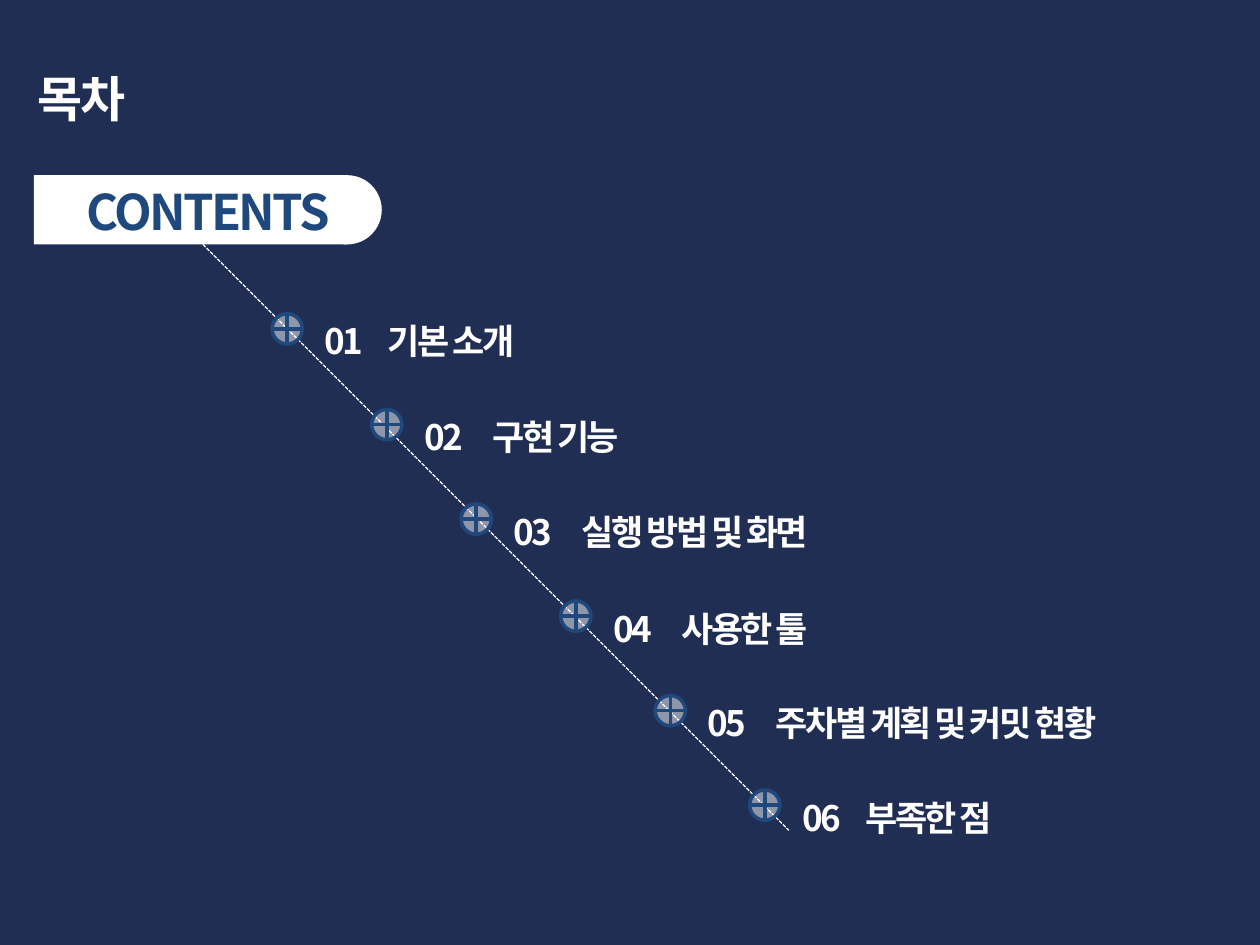
from dataclasses import dataclass

from lxml import etree
from pptx import Presentation
from pptx import util as u
from pptx.dml.color import RGBColor
from pptx.enum import dml, shapes, text
from pptx.oxml.ns import qn


@dataclass(frozen=True)
class Theme:
    font: str = "Noto Sans CJK KR"
    navy: RGBColor = RGBColor(0x21, 0x2E, 0x53)
    blue: RGBColor = RGBColor(0x1F, 0x49, 0x7D)
    white: RGBColor = RGBColor(0xFF, 0xFF, 0xFF)
    heading: int = 28
    item: int = 20
    spacing: int = -150  # hundredths of a point


THEME = Theme()
PAGE_WIDTH, PAGE_HEIGHT = 10, 7.5
MARKER = 0.24

# left, top, indent of the label, number, label
ITEMS = [
    (2.16, 2.49, 0.5, "01", "기본 소개"),
    (2.95, 3.25, 0.54, "02", "구현 기능"),
    (3.66, 4.0, 0.54, "03", "실행 방법 및 화면"),
    (4.45, 4.77, 0.54, "04", "사용한 툴"),
    (5.2, 5.52, 0.54, "05", "주차별 계획 및 커밋 현황"),
    (5.95, 6.27, 0.5, "06", "부족한 점"),
]


def place(shape, box):
    shape.left, shape.top, shape.width, shape.height = map(u.Inches, box)


def write(shape, words, size, color):
    """Put one bold, tightly spaced line in a shape and return its paragraph."""
    frame = shape.text_frame
    frame.word_wrap = True
    frame.auto_size = text.MSO_AUTO_SIZE.SHAPE_TO_FIT_TEXT
    frame.vertical_anchor = text.MSO_ANCHOR.TOP
    para = frame.paragraphs[0]
    para.alignment = text.PP_ALIGN.LEFT
    span = para.add_run()
    span.text = words
    span.font.name = THEME.font
    span.font.size = u.Pt(size)
    span.font.bold = True
    span.font.color.rgb = color
    props = span.font._element
    props.set("spc", str(THEME.spacing))
    etree.SubElement(props, qn("a:ea"), typeface=THEME.font)
    return para


def add_text(page, box, words, size, color):
    shape = page.shapes.add_textbox(*map(u.Inches, box))
    return write(shape, words, size, color)


def add_filled(parent, kind, box):
    shape = parent.add_shape(kind, *map(u.Inches, box))
    shape.shadow.inherit = False
    shape.fill.solid()
    shape.fill.fore_color.rgb = THEME.white
    shape.line.fill.background()
    return shape


def add_title(page, box):
    title = page.shapes.title
    place(title, box)
    write(title, "목차", THEME.heading, THEME.white)


def add_banner(page, box):
    """White tab with a rounded right end."""
    left, top, width, height = box
    tab = page.shapes.add_group_shape().shapes
    kinds = shapes.MSO_SHAPE
    add_filled(tab, kinds.RECTANGLE, (left, top, width - height / 2, height))
    add_filled(tab, kinds.OVAL, (left + width - height, top, height, height))
    add_text(page, (left + 0.32, top, 2.52, 0.57), "CONTENTS",
             THEME.heading, THEME.blue)


def add_trail(page, start, end):
    """Dashed diagonal that carries the markers."""
    trail = page.shapes.add_connector(
        shapes.MSO_CONNECTOR.STRAIGHT, *map(u.Inches, start + end))
    trail.line.color.rgb = THEME.white
    trail.line.width = u.Pt(0.75)
    trail.line.dash_style = dml.MSO_LINE.SQUARE_DOT
    etree.SubElement(trail._element.spPr, qn("a:effectLst"))


def add_item(page, left, top, indent, number, label):
    marker = add_filled(page.shapes, shapes.MSO_SHAPE.FLOWCHART_OR,
                        (left, top, MARKER, MARKER))
    color = marker._element.spPr.find(qn("a:solidFill"))[0]
    etree.SubElement(color, qn("a:alpha"), val="50000")
    marker.line.color.rgb = THEME.blue
    marker.line.width = u.Pt(2)

    text_left = left + 0.32
    width = min(4.1, PAGE_WIDTH - text_left)
    para = add_text(page, (text_left, top, width, 0.44),
                    f"{number}\t{label}", THEME.item, THEME.white)
    # A hanging indent lines the label up after its number
    props = para._p.get_or_add_pPr()
    props.set("marL", str(u.Inches(indent)))
    props.set("indent", str(-u.Inches(indent)))


def build_contents(deck):
    page = deck.slides.add_slide(deck.slide_layouts[5])
    page.background.fill.solid()
    page.background.fill.fore_color.rgb = THEME.navy
    add_title(page, (0.2, 0.49, 6.77, 0.57))
    add_banner(page, (0.27, 1.39, 2.76, 0.55))
    add_trail(page, (1.61, 1.94), (6.26, 6.59))
    for item in ITEMS:
        add_item(page, *item)


def main():
    deck = Presentation()
    deck.slide_width = u.Inches(PAGE_WIDTH)
    deck.slide_height = u.Inches(PAGE_HEIGHT)
    build_contents(deck)
    deck.save("out.pptx")


if __name__ == "__main__":
    main()
